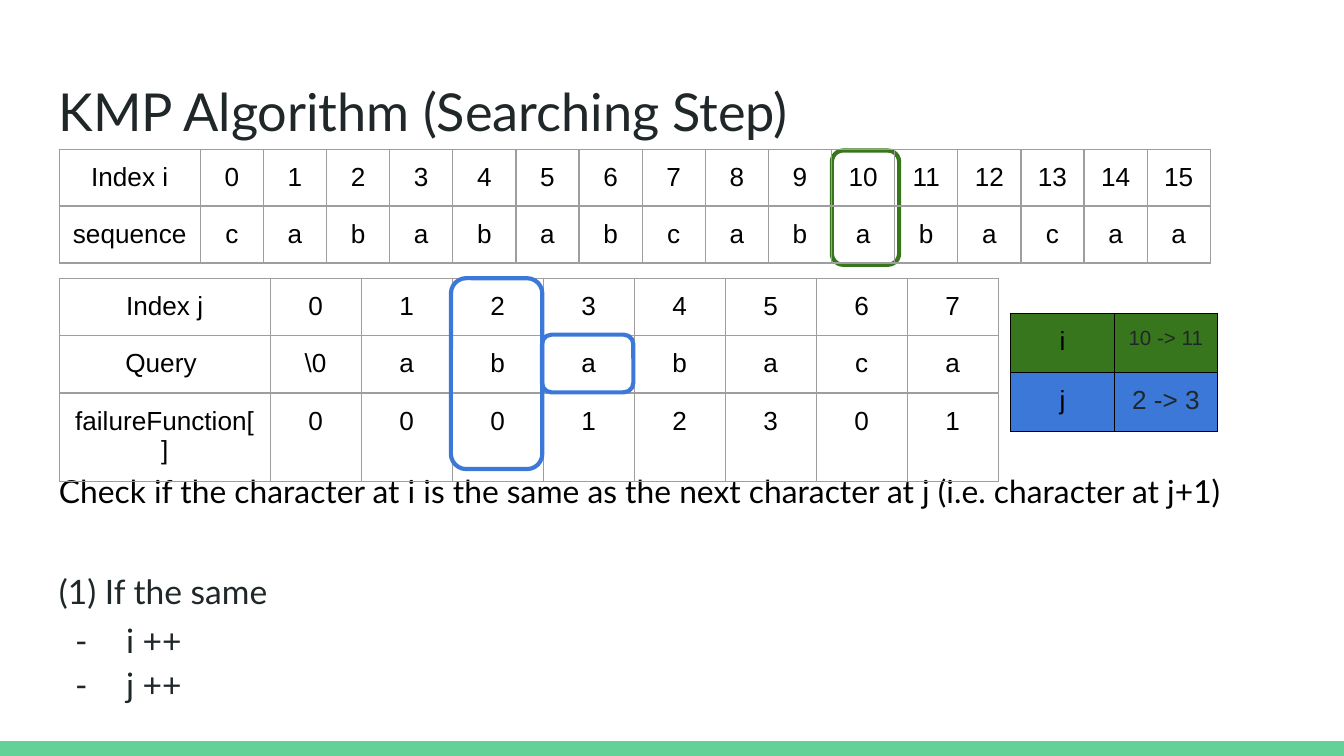
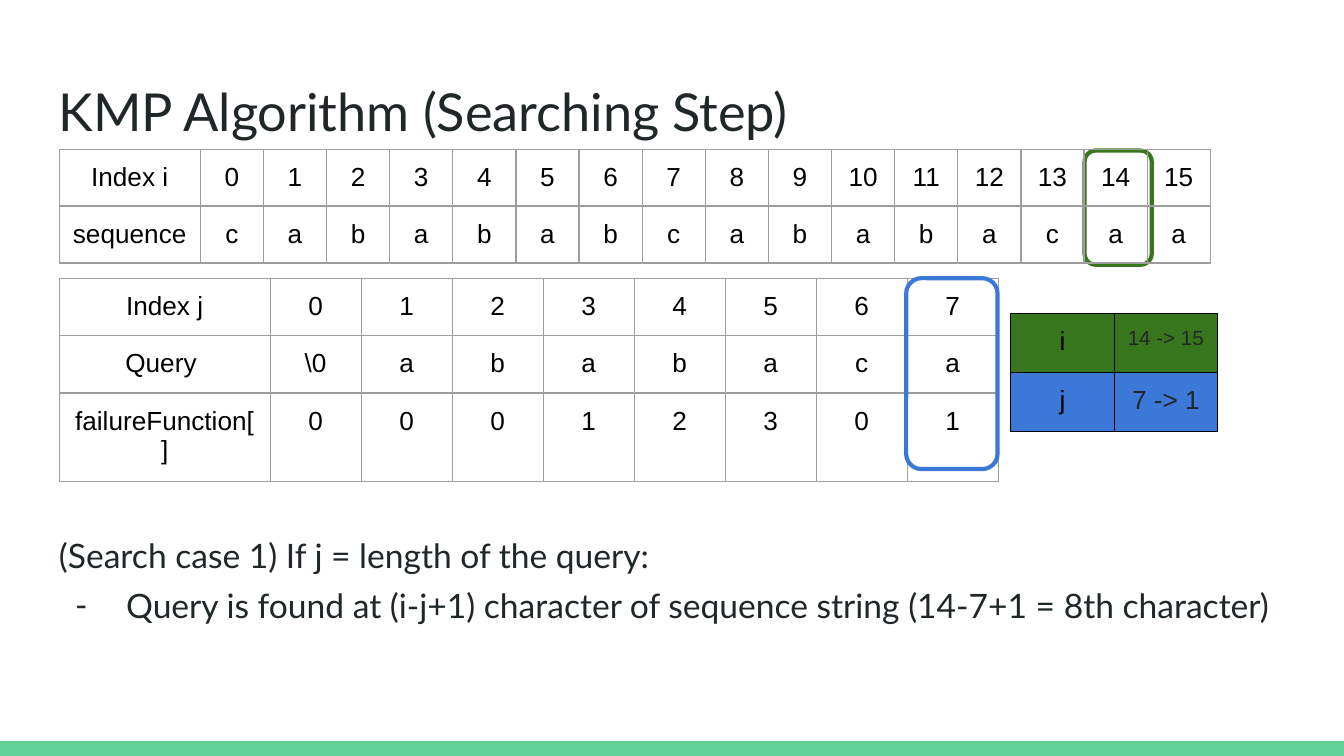
from dataclasses import dataclass

from lxml.etree import SubElement
from pptx import Presentation
from pptx.dml.color import RGBColor
from pptx.enum.shapes import MSO_SHAPE
from pptx.enum.text import PP_ALIGN
from pptx.oxml.ns import qn
from pptx.util import Inches, Pt

TITLE = "KMP Algorithm (Searching Step)"

SEQUENCE = [
    ["Index i", *map(str, range(16))],
    ["sequence", *"cabababcababacaa"],
]
QUERY = [
    ["Index j", *map(str, range(8))],
    ["Query ", "\\0", *"ababaca"],
    ["failureFunction[]", *"00012301"],
]

STEPS = [
    {
        "i": 10, "j": 2, "next_j": 3,
        "i_change": "10 -> 11", "j_change": "2 -> 3",
        "notes_top": 3.41,
        "notes": [
            ("check", "Check if the character at i is the same as the next character at j "
                      "(i.e. character at j+1)", 0),
            ("case", "(1) If the same", 32.5),
            ("action", "i ++", 5),
            ("action", "j ++", 2),
        ],
    },
    {
        "i": 14, "j": 7, "next_j": None,
        "i_change": "14 -> 15", "j_change": "7 -> 1",
        "notes_top": 3.88,
        "notes": [
            ("case", "(Search case 1) If j = length of the query:", 0),
            ("action", "Query is found at (i-j+1) character of sequence string "
                       "(14-7+1 = 8th character)", 5),
        ],
    },
]


@dataclass(frozen=True)
class Theme:
    ink: str = "202729"
    black: str = "000000"
    grid: str = "9E9E9E"
    band: str = "63D297"
    i_mark: str = "38761D"
    j_mark: str = "3C78D8"
    text_font: str = "Lato"
    cell_font: str = "Arial"
    title_size: int = 28
    check_size: int = 17
    note_size: int = 18
    cell_size: int = 14
    small_size: int = 11
    grid_line: float = 0.75
    ring_line: float = 2.25


@dataclass(frozen=True)
class Grid:
    left: float
    top: float
    head: float
    column: float
    rows: tuple

    def column_left(self, index):
        return self.left + self.head + index * self.column


THEME = Theme()
WIDTH = 10
HEIGHT = WIDTH * 9 / 16
BAND_HEIGHT = 0.11
TEXT_LEFT = 0.34
TEXT_WIDTH = WIDTH - 2 * TEXT_LEFT
PADDING = 0.1
CELL_BOTTOM = 0.09
SEQUENCE_GRID = Grid(0.44, 1.11, 1.05, 0.47, (0.42, 0.42))
QUERY_GRID = Grid(0.44, 2.07, 1.57, 5.42 / 8, (0.37, 0.43, 0.56))
CHANGE_GRID = Grid(7.52, 2.33, 0.77, 0.77, (0.44, 0.44))
FIRST_ROW_DRAWN = 0.42


def rgb(color):
    return RGBColor.from_string(color)


def style(paragraph, font, size, color):
    paragraph.font.name = font
    paragraph.font.size = Pt(size)
    paragraph.font.color.rgb = rgb(color)


def pad(target, bottom=PADDING):
    target.margin_left = target.margin_right = target.margin_top = Inches(PADDING)
    target.margin_bottom = Inches(bottom)


def add_text_frame(slide, top, height):
    frame = slide.shapes.add_textbox(
        *map(Inches, (TEXT_LEFT, top, TEXT_WIDTH, height))).text_frame
    frame.word_wrap = True
    pad(frame)
    return frame


def add_dash(paragraph):
    properties = paragraph._p.get_or_add_pPr()
    properties.set("marL", str(Inches(0.5)))
    properties.set("indent", str(Inches(-0.38)))
    color = SubElement(properties, qn("a:buClr"))
    SubElement(color, qn("a:srgbClr"), val=THEME.ink)
    SubElement(properties, qn("a:buFont"), typeface=THEME.text_font)
    SubElement(properties, qn("a:buChar"), char="-")


def add_notes(slide, top, notes):
    frame = add_text_frame(slide, top, HEIGHT - BAND_HEIGHT - top)
    for index, (role, words, gap) in enumerate(notes):
        paragraph = frame.add_paragraph() if index else frame.paragraphs[0]
        paragraph.text = words
        paragraph.space_before = Pt(gap)
        if role == "check":
            style(paragraph, THEME.text_font, THEME.check_size, THEME.black)
        else:
            style(paragraph, THEME.text_font, THEME.note_size, THEME.ink)
        if role == "action":
            add_dash(paragraph)


def add_borders(cell, color):
    properties = cell._tc.get_or_add_tcPr()
    for side in ("lnL", "lnR", "lnT", "lnB"):
        line = SubElement(properties, qn(f"a:{side}"), w=str(Pt(THEME.grid_line)))
        fill = SubElement(line, qn("a:solidFill"))
        SubElement(fill, qn("a:srgbClr"), val=color)


def add_grid(slide, grid, content, border, fills=None, looks=None):
    columns = len(content[0])
    width = grid.head + (columns - 1) * grid.column
    table = slide.shapes.add_table(
        len(content), columns,
        *map(Inches, (grid.left, grid.top, width, sum(grid.rows)))).table
    table.first_row = table.horz_banding = False
    for index, column in enumerate(table.columns):
        column.width = Inches(grid.column if index else grid.head)
    for r, words in enumerate(content):
        table.rows[r].height = Inches(grid.rows[r])
        for c, word in enumerate(words):
            cell = table.cell(r, c)
            cell.text = word
            pad(cell, CELL_BOTTOM)
            add_borders(cell, border)
            if fills:
                cell.fill.solid()
                cell.fill.fore_color.rgb = rgb(fills[r])
            else:
                cell.fill.background()
            paragraph = cell.text_frame.paragraphs[0]
            paragraph.alignment = PP_ALIGN.CENTER
            size, color = (looks or {}).get((r, c), (THEME.cell_size, THEME.black))
            style(paragraph, THEME.cell_font, size, color)


def add_ring(slide, left, top, width, height, color):
    ring = slide.shapes.add_shape(
        MSO_SHAPE.ROUNDED_RECTANGLE, *map(Inches, (left, top, width, height)))
    ring.shadow.inherit = False
    ring.fill.background()
    ring.line.color.rgb = rgb(color)
    ring.line.width = Pt(THEME.ring_line)


def add_query_ring(slide, index, top, height):
    add_ring(slide, QUERY_GRID.column_left(index) - 0.01, top, 0.68, height, THEME.j_mark)


def add_base(slide):
    band = slide.shapes.add_shape(
        MSO_SHAPE.RECTANGLE,
        *map(Inches, (0, HEIGHT - BAND_HEIGHT, WIDTH, BAND_HEIGHT)))
    band.shadow.inherit = False
    band.fill.solid()
    band.fill.fore_color.rgb = rgb(THEME.band)
    band.line.fill.background()
    title = add_text_frame(slide, 0.49, 0.63).paragraphs[0]
    title.text = TITLE
    style(title, THEME.text_font, THEME.title_size, THEME.ink)


def add_step(deck, step):
    slide = deck.slides.add_slide(deck.slide_layouts[6])
    add_base(slide)
    add_notes(slide, step["notes_top"], step["notes"])
    add_grid(slide, QUERY_GRID, QUERY, THEME.grid)
    add_grid(
        slide, CHANGE_GRID,
        [["i", step["i_change"]], ["j", step["j_change"]]],
        THEME.black, (THEME.i_mark, THEME.j_mark),
        {(0, 1): (THEME.small_size, THEME.ink), (1, 1): (THEME.cell_size, THEME.ink)})
    add_ring(slide, SEQUENCE_GRID.column_left(step["i"]), SEQUENCE_GRID.top + 0.01,
             0.5, 0.85, THEME.i_mark)
    add_query_ring(slide, step["j"], QUERY_GRID.top, 1.42)
    if step["next_j"] is not None:
        add_query_ring(slide, step["next_j"], QUERY_GRID.top + FIRST_ROW_DRAWN,
                       QUERY_GRID.rows[1])
    add_grid(slide, SEQUENCE_GRID, SEQUENCE, THEME.grid)


def main():
    deck = Presentation()
    deck.slide_width, deck.slide_height = Inches(WIDTH), Inches(HEIGHT)
    for step in STEPS:
        add_step(deck, step)
    deck.save("out.pptx")


if __name__ == "__main__":
    main()
